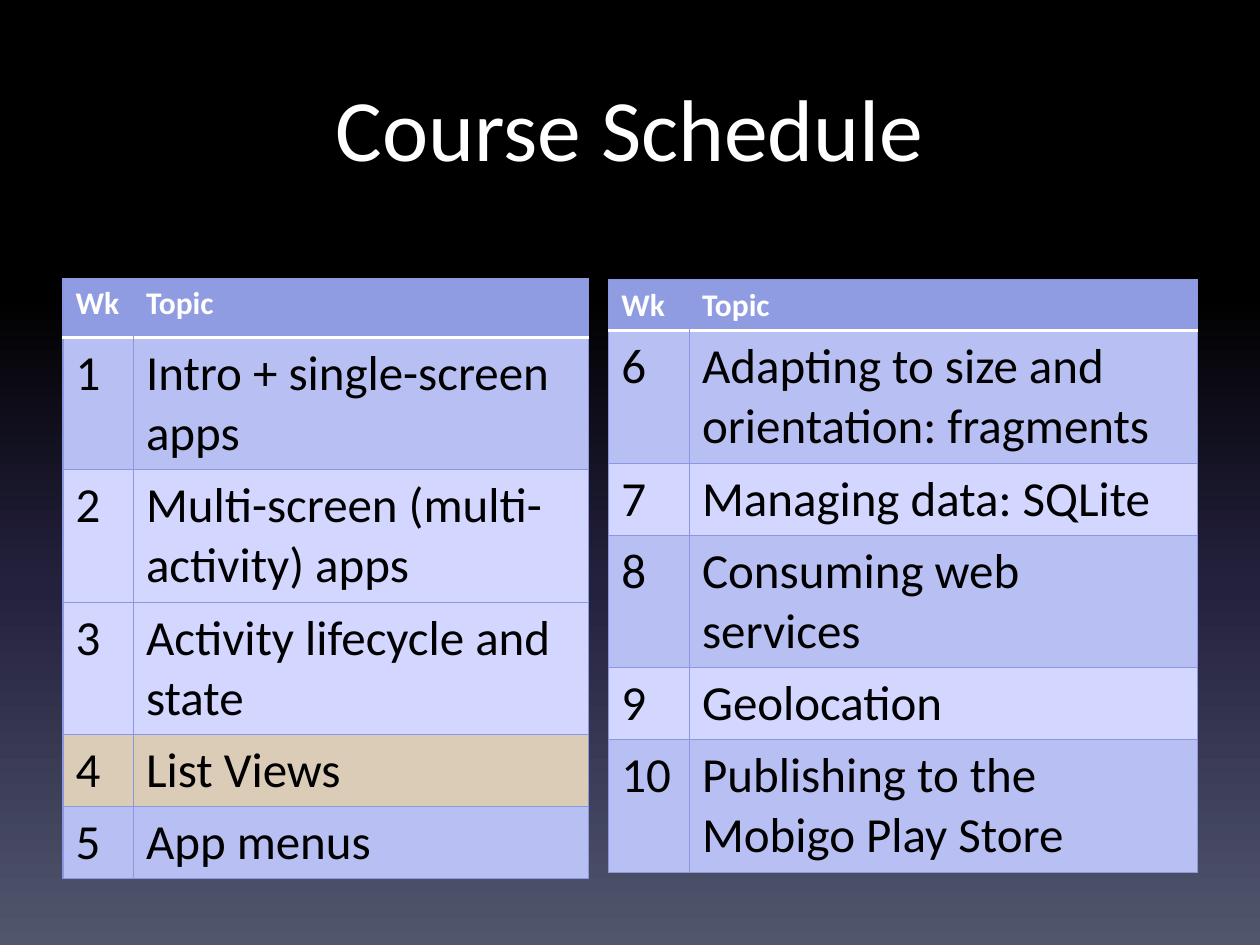
from lxml import etree
from pptx import Presentation
from pptx import util as u
from pptx.dml.color import RGBColor
from pptx.enum import text
from pptx.oxml import ns

COLORS = {
    "white": "FFFFFF", "black": "000000", "edge": "8B97DE", "head": "909CE1",
    "band": "B8BFF3", "plain": "D3D6FF", "current": "DBCCB7",
}
BACKGROUND = [(0, "000000"), (31, "000000"), (62, "24213E"), (100, "51566D")]
FONT = "Calibri"

FIRST_HALF = [
    ("1", "Intro + single-screen apps", "band"),
    ("2", "Multi-screen (multi-activity) apps", "plain"),
    ("3", "Activity lifecycle and state", "plain"),
    ("4", "List Views", "current"),
    ("5", "App menus", "band"),
]
SECOND_HALF = [
    ("6", "Adapting to size and orientation: fragments", "band"),
    ("7", "Managing data: SQLite", "plain"),
    ("8", "Consuming web services", "band"),
    ("9", "Geolocation", "plain"),
    ("10", "Publishing to the Mobigo Play Store", "band"),
]


def rgb(name):
    """Return a palette colour."""
    return RGBColor.from_string(COLORS[name])


def set_background(s):
    """Fill the slide from top to bottom with the dark gradient."""
    fill = s.background.fill
    fill.gradient()
    fill.gradient_angle = 270
    stops = s.background._cSld.find(".//" + ns.qn("a:gsLst"))
    for stop in list(stops):
        stops.remove(stop)
    for pos, color in BACKGROUND:
        stop = etree.SubElement(stops, ns.qn("a:gs"), pos=str(pos * 1000))
        etree.SubElement(stop, ns.qn("a:srgbClr"), val=color)


def add_run(p, words, size, color, bold=False):
    """Add one formatted run to a paragraph."""
    r = p.add_run()
    r.text = words
    r.font.name = FONT
    r.font.size = u.Pt(size)
    r.font.bold = bold
    r.font.color.rgb = rgb(color)


def add_title(s, words):
    """Add the centred slide title."""
    sp = s.shapes.add_textbox(u.Cm(1.27), u.Cm(1.27), u.Cm(22.86), u.Cm(3.18))
    tf = sp.text_frame
    tf.word_wrap = True
    tf.margin_top = u.Cm(0.22)
    p = tf.paragraphs[0]
    p.alignment = text.PP_ALIGN.CENTER
    add_run(p, words, 50, "white")


def set_border(cell, side, color, width):
    """Draw one side of a cell, or hide it when no colour is given."""
    ln = etree.SubElement(cell._tc.get_or_add_tcPr(), ns.qn("a:ln" + side), w=str(u.Pt(width)))
    if color is None:
        etree.SubElement(ln, ns.qn("a:noFill"))
    else:
        fill = etree.SubElement(ln, ns.qn("a:solidFill"))
        etree.SubElement(fill, ns.qn("a:srgbClr"), val=COLORS[color])


def style_cell(cell, row, col, fill):
    """Set the borders and fill of a cell by its place in the table."""
    edges = {side: ("edge", 0.75) for side in "LRTB"}
    if row == 0:
        edges["R" if col == 0 else "L"] = (None, 0.75)
        edges["B"] = ("white", 2)
    elif row == 1:
        edges["T"] = ("white", 2)
    for side, (color, width) in edges.items():
        set_border(cell, side, color, width)
    cell.fill.solid()
    cell.fill.fore_color.rgb = rgb(fill)


def add_schedule(s, left, top, widths, heights, weeks):
    """Add a table of weeks and topics under a header row."""
    rows = [("Wk", "Topic", "head")] + weeks
    frame = s.shapes.add_table(len(rows), 2, u.Cm(left), u.Cm(top),
                               u.Cm(sum(widths)), u.Cm(sum(heights)))
    table = frame.table
    table.first_row = table.horz_banding = False
    for column, width in zip(table.columns, widths):
        column.width = u.Cm(width)
    for i, (*words, fill) in enumerate(rows):
        table.rows[i].height = u.Cm(heights[i])
        size, color = (18, "white") if i == 0 else (28, "black")
        for j, word in enumerate(words):
            cell = table.cell(i, j)
            style_cell(cell, i, j, fill)
            add_run(cell.text_frame.paragraphs[0], word, size, color, bold=i == 0)


def main():
    """Build the course schedule slide."""
    prs = Presentation()
    prs.slide_width, prs.slide_height = u.Cm(25.4), u.Cm(19.05)
    s = prs.slides.add_slide(prs.slide_layouts[6])
    set_background(s)
    add_title(s, "Course Schedule")
    one, two = 1.45, 2.67
    add_schedule(s, 1.27, 5.61, [1.42, 9.17], [1.19, two, two, two, one, one], FIRST_HALF)
    add_schedule(s, 12.27, 5.64, [1.63, 10.24], [1.03, two, one, two, one, two], SECOND_HALF)
    prs.save("out.pptx")


if __name__ == "__main__":
    main()
